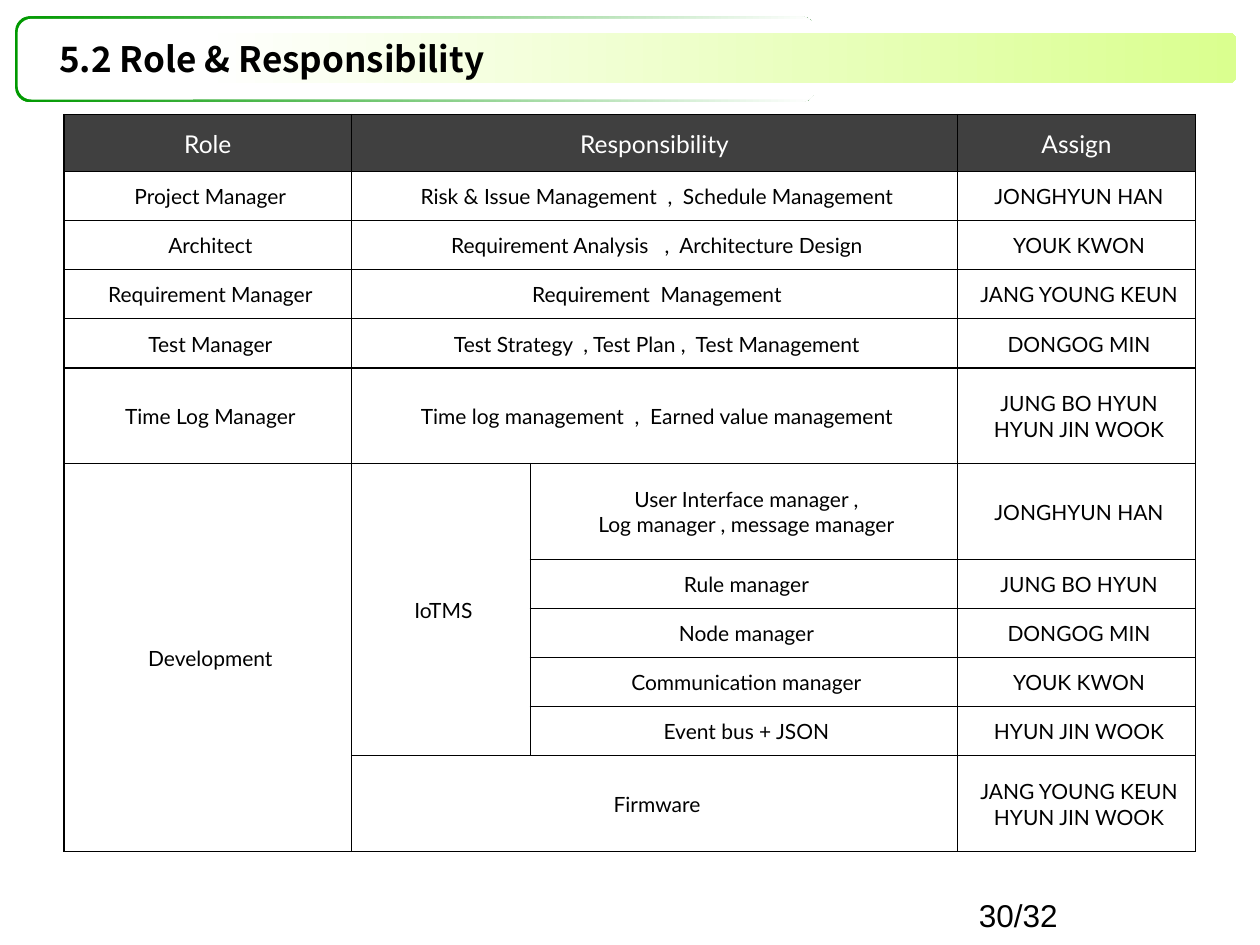
from dataclasses import dataclass

from lxml import etree
from pptx import Presentation
from pptx.dml.color import RGBColor
from pptx.enum.shapes import MSO_SHAPE
from pptx.enum.text import MSO_ANCHOR, PP_ALIGN
from pptx.oxml.ns import qn
from pptx.util import Inches, Pt

ROUNDED = MSO_SHAPE.ROUNDED_RECTANGLE
MIDDLE = MSO_ANCHOR.MIDDLE
TOP = MSO_ANCHOR.TOP
LEFT = PP_ALIGN.LEFT
CENTER = PP_ALIGN.CENTER
BLACK = "000000"
WHITE = "FFFFFF"
HEADER_FILL = "404040"


@dataclass
class Banner:
    box: tuple[float, float, float, float]
    corner: float
    colors: tuple[str, ...]


@dataclass
class Span:
    first: tuple[int, int]
    last: tuple[int, int]


@dataclass
class RoleRow:
    height: float
    texts: tuple[str, str, str, str]


BANNERS = [
    Banner((0.12, 0.13, 6.35, 0.68), 0.17, ("009900", WHITE)),
    Banner((0.14, 0.15, 6.35, 0.64), 0.17, (WHITE,)),
    Banner((1.58, 0.26, 8.23, 0.4), 0.14, (WHITE, "DAFF8F")),
]
COLUMN_WIDTHS = [2.28, 1.42, 3.39, 1.89]
SINGLE, DOUBLE = 0.39, 0.76
ROWS = [
    RoleRow(0.45, ("Role", "Responsibility", "", "Assign")),
    RoleRow(SINGLE, ("Project Manager", "Risk & Issue Management  ,  Schedule Management", "", "JONGHYUN HAN")),
    RoleRow(SINGLE, ("Architect", "Requirement Analysis   ,  Architecture Design", "", "YOUK KWON")),
    RoleRow(SINGLE, ("Requirement Manager", "Requirement  Management", "", "JANG YOUNG KEUN")),
    RoleRow(SINGLE, ("Test Manager", "Test Strategy  , Test Plan ,  Test Management", "", "DONGOG MIN")),
    RoleRow(DOUBLE, ("Time Log Manager", "Time log management  ,  Earned value management", "",
                     "JUNG BO HYUN\nHYUN JIN WOOK")),
    RoleRow(DOUBLE, ("Development", "IoTMS", "User Interface manager ,\nLog manager , message manager",
                     "JONGHYUN HAN")),
    RoleRow(SINGLE, ("", "", "Rule manager", "JUNG BO HYUN")),
    RoleRow(SINGLE, ("", "", "Node manager", "DONGOG MIN")),
    RoleRow(SINGLE, ("", "", "Communication manager", "YOUK KWON")),
    RoleRow(SINGLE, ("", "", "Event bus + JSON", "HYUN JIN WOOK")),
    RoleRow(DOUBLE, ("", "Firmware", "", "JANG YOUNG KEUN\nHYUN JIN WOOK")),
]
SPANS = [Span((row, 1), (row, 2)) for row in (0, 1, 2, 3, 4, 5, 11)]
SPANS += [Span((6, 0), (11, 0)), Span((6, 1), (10, 1))]


def set_color(target, color: str) -> None:
    target.rgb = RGBColor.from_string(color)


def set_values(target, values: dict) -> None:
    for name, value in values.items():
        setattr(target, name, value)


def set_box(shape, box: tuple[float, float, float, float]) -> None:
    set_values(shape, dict(zip(("left", "top", "width", "height"), map(Inches, box))))


def format_text(text_frame, alignment, color: str, font_values: dict) -> None:
    for paragraph in text_frame.paragraphs:
        paragraph.alignment = alignment
        for run in paragraph.runs:
            set_values(run.font, font_values)
            set_color(run.font.color, color)


def add_banner(slide, banner: Banner) -> None:
    shape = slide.shapes.add_shape(ROUNDED, *map(Inches, banner.box))
    shape.adjustments[0] = banner.corner
    shape.shadow.inherit = False
    shape.line.fill.background()
    if len(banner.colors) == 1:
        shape.fill.solid()
        set_color(shape.fill.fore_color, banner.colors[0])
        return
    shape.fill.gradient()
    shape.fill.gradient_angle = 0
    for stop, color in zip(shape.fill.gradient_stops, banner.colors):
        set_color(stop.color, color)


def add_borders(cell) -> None:
    properties = cell._tc.get_or_add_tcPr()
    for side in ("a:lnL", "a:lnR", "a:lnT", "a:lnB"):
        line = etree.SubElement(properties, qn(side), w=str(Pt(1)))
        fill = etree.SubElement(line, qn("a:solidFill"))
        etree.SubElement(fill, qn("a:srgbClr"), val=BLACK)


def format_cell(cell, text: str, is_header: bool) -> None:
    add_borders(cell)
    cell.fill.solid()
    set_color(cell.fill.fore_color, HEADER_FILL if is_header else WHITE)
    set_values(cell, {
        "vertical_anchor": MIDDLE,
        "margin_left": Inches(0.01 if is_header else 0.08),
        "margin_right": Inches(0.01 if is_header else 0.04),
        "margin_top": Inches(0.01),
        "margin_bottom": 0,
    })
    if text:
        cell.text = text
    font_values = {"name": "Lato", "size": Pt(14 if is_header else 12), "bold": False}
    format_text(cell.text_frame, CENTER, WHITE if is_header else BLACK, font_values)


def add_role_table(slide) -> None:
    width, height = sum(COLUMN_WIDTHS), sum(row.height for row in ROWS)
    box = map(Inches, (0.51, 0.91, width, height))
    table = slide.shapes.add_table(len(ROWS), len(COLUMN_WIDTHS), *box).table
    set_values(table, {"first_row": False, "horz_banding": False})
    for column, column_width in zip(table.columns, COLUMN_WIDTHS):
        column.width = Inches(column_width)
    for row_index, role_row in enumerate(ROWS):
        table.rows[row_index].height = Inches(role_row.height)
        for column_index, text in enumerate(role_row.texts):
            format_cell(table.cell(row_index, column_index), text, row_index == 0)
    for span in SPANS:
        table.cell(*span.first).merge(table.cell(*span.last))


def add_title(slide) -> None:
    title = slide.shapes.title
    set_box(title, (0.37, 0.25, 8.3, 0.43))
    title.text_frame.text = "5.2 Role & Responsibility"
    set_values(title.text_frame, {"vertical_anchor": MIDDLE, "word_wrap": True})
    format_text(title.text_frame, LEFT, BLACK, {"name": "Noto Sans CJK KR", "size": Pt(20), "bold": True})
    title.element.getparent().append(title.element)


def add_page_number(slide) -> None:
    text_box = slide.shapes.add_textbox(*map(Inches, (7.67, 7.06, 2.33, 0.4)))
    text_box.text_frame.text = "30/32"
    set_values(text_box.text_frame, {"vertical_anchor": TOP, "word_wrap": True})
    format_text(text_box.text_frame, LEFT, BLACK, {"name": "Arial", "size": Pt(18)})


def main() -> None:
    presentation = Presentation()
    set_values(presentation, {"slide_width": Inches(10), "slide_height": Inches(7.5)})
    slide = presentation.slides.add_slide(presentation.slide_layouts[5])
    for banner in BANNERS:
        add_banner(slide, banner)
    add_title(slide)
    add_page_number(slide)
    add_role_table(slide)
    presentation.save("out.pptx")


main()
